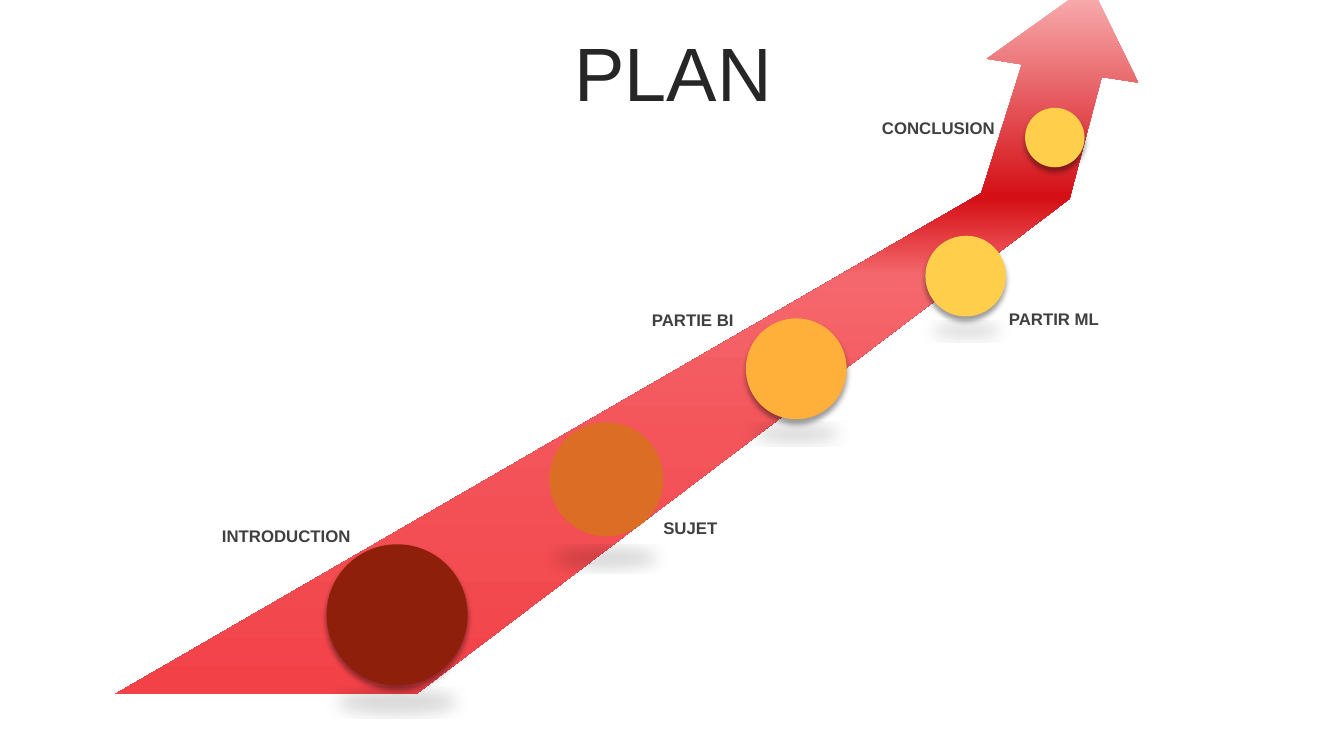
from lxml.etree import SubElement
from pptx import Presentation
from pptx.dml.color import RGBColor
from pptx.enum.shapes import MSO_SHAPE
from pptx.enum.text import MSO_ANCHOR, MSO_AUTO_SIZE, PP_ALIGN
from pptx.oxml.ns import qn
from pptx.util import Pt

COLORS = {
    "title": "262626", "label": "404040", "shadow": "000000",
    "brown": "8E1F0B", "orange": "DB6D25", "amber": "FFB03B", "yellow": "FFCE4B",
    "tip": "FAB4B6", "bend": "D40F15", "light": "F4686D", "mid": "F3555A", "base": "F24248",
}
SHADOWS = {
    "floor": {"alpha": 15, "blurRad": Pt(12), "dist": Pt(8), "sx": 90000, "sy": -19000},
    "contact": {"alpha": 40, "blurRad": Pt(4), "dist": Pt(3)},
}


class Deck:
    font = "Arial"

    def __init__(self, width, height):
        self.prs = Presentation()
        self.prs.slide_width, self.prs.slide_height = Pt(width), Pt(height)
        self.s = self.prs.slides.add_slide(self.prs.slide_layouts[5])

    def apply(self, obj, formats):
        for name, value in formats.items():
            setattr(obj, name, value)

    def set_text(self, tf, text, size, color, bold, align, frame, para):
        self.apply(tf, {"word_wrap": True, **frame})
        p = tf.paragraphs[0]
        self.apply(p, {"alignment": align, **para})
        r = p.add_run()
        r.text = text
        self.apply(r.font, {"name": self.font, "size": Pt(size), "bold": bold})
        r.font.color.rgb = RGBColor.from_string(COLORS[color])

    def title(self, text, left, top, width, height):
        sp = self.s.shapes.title
        self.apply(sp, {"left": Pt(left), "top": Pt(top), "width": Pt(width), "height": Pt(height)})
        self.set_text(sp.text_frame, text, 54, "title", False, PP_ALIGN.CENTER,
                      {"vertical_anchor": MSO_ANCHOR.MIDDLE, "auto_size": MSO_AUTO_SIZE.NONE},
                      {"line_spacing": 0.9, "space_before": Pt(10)})

    def label(self, text, left, top, align):
        sp = self.s.shapes.add_textbox(Pt(left), Pt(top), Pt(163.4), Pt(21.8))
        self.set_text(sp.text_frame, text, 12, "label", True, align,
                      {"margin_left": 0, "margin_right": 0, "auto_size": MSO_AUTO_SIZE.SHAPE_TO_FIT_TEXT}, {})

    def arrow(self, points, stops):
        builder = self.s.shapes.build_freeform(*points[0], scale=Pt(1))
        builder.add_line_segments(points[1:], close=True)
        sp = builder.convert_to_shape()
        sp.shadow.inherit = False
        sp.line.fill.background()
        sp.fill.gradient()
        grad = sp._element.spPr.find(qn("a:gradFill"))
        for child in list(grad):
            grad.remove(child)
        gs_list = SubElement(grad, qn("a:gsLst"))
        for position, color in stops:
            gs = SubElement(gs_list, qn("a:gs"), pos=str(position * 1000))
            SubElement(gs, qn("a:srgbClr"), val=COLORS[color])
        SubElement(grad, qn("a:lin"), ang="5400000", scaled="0")

    def circle(self, left, top, size, color, shadow):
        sp = self.s.shapes.add_shape(MSO_SHAPE.OVAL, Pt(left), Pt(top), Pt(size), Pt(size))
        sp.fill.solid()
        sp.fill.fore_color.rgb = RGBColor.from_string(COLORS[color])
        sp.line.fill.background()
        sp.shadow.inherit = False
        effects = sp._element.spPr.find(qn("a:effectLst"))
        values = dict(SHADOWS[shadow])
        alpha = values.pop("alpha")
        outer = SubElement(effects, qn("a:outerShdw"), dir="5400000", rotWithShape="0")
        for name, value in values.items():
            outer.set(name, str(int(value)))
        clr = SubElement(outer, qn("a:srgbClr"), val=COLORS["shadow"])
        SubElement(clr, qn("a:alpha"), val=str(alpha * 1000))


def main():
    deck = Deck(960, 540)
    deck.arrow(
        [(779, -10.8), (812.9, 59), (787, 54.7), (763.9, 141.5), (296.6, 496.5),
         (82.1, 496.1), (700.6, 137.5), (730.1, 46.1), (704.9, 42.5)],
        [(0, "tip"), (30, "bend"), (41, "light"), (64, "mid"), (100, "base")])
    for circle in [
        (236.2, 389.5, 95, "brown", "floor"),
        (392.4, 301.7, 81.4, "orange", "floor"),
        (535, 227.5, 67.7, "amber", "floor"),
        (663.1, 168.5, 54.7, "yellow", "floor"),
        (233.3, 388.8, 100.8, "brown", "contact"),
        (532.8, 227.5, 72, "amber", "contact"),
        (661, 168.5, 57.6, "yellow", "contact"),
        (732.2, 77, 42.5, "yellow", "contact"),
    ]:
        deck.circle(*circle)
    deck.title("PLAN", 25.2, 26.6, 911.5, 56.9)
    for label in [
        ("PARTIR ML", 720.7, 216.7, PP_ALIGN.LEFT),
        ("SUJET", 473.8, 366.5, PP_ALIGN.LEFT),
        ("PARTIE BI", 360.7, 217.4, PP_ALIGN.RIGHT),
        ("INTRODUCTION", 87.1, 372.2, PP_ALIGN.RIGHT),
        ("CONCLUSION", 630, 80.6, PP_ALIGN.LEFT),
    ]:
        deck.label(*label)
    deck.prs.save("out.pptx")


if __name__ == "__main__":
    main()
